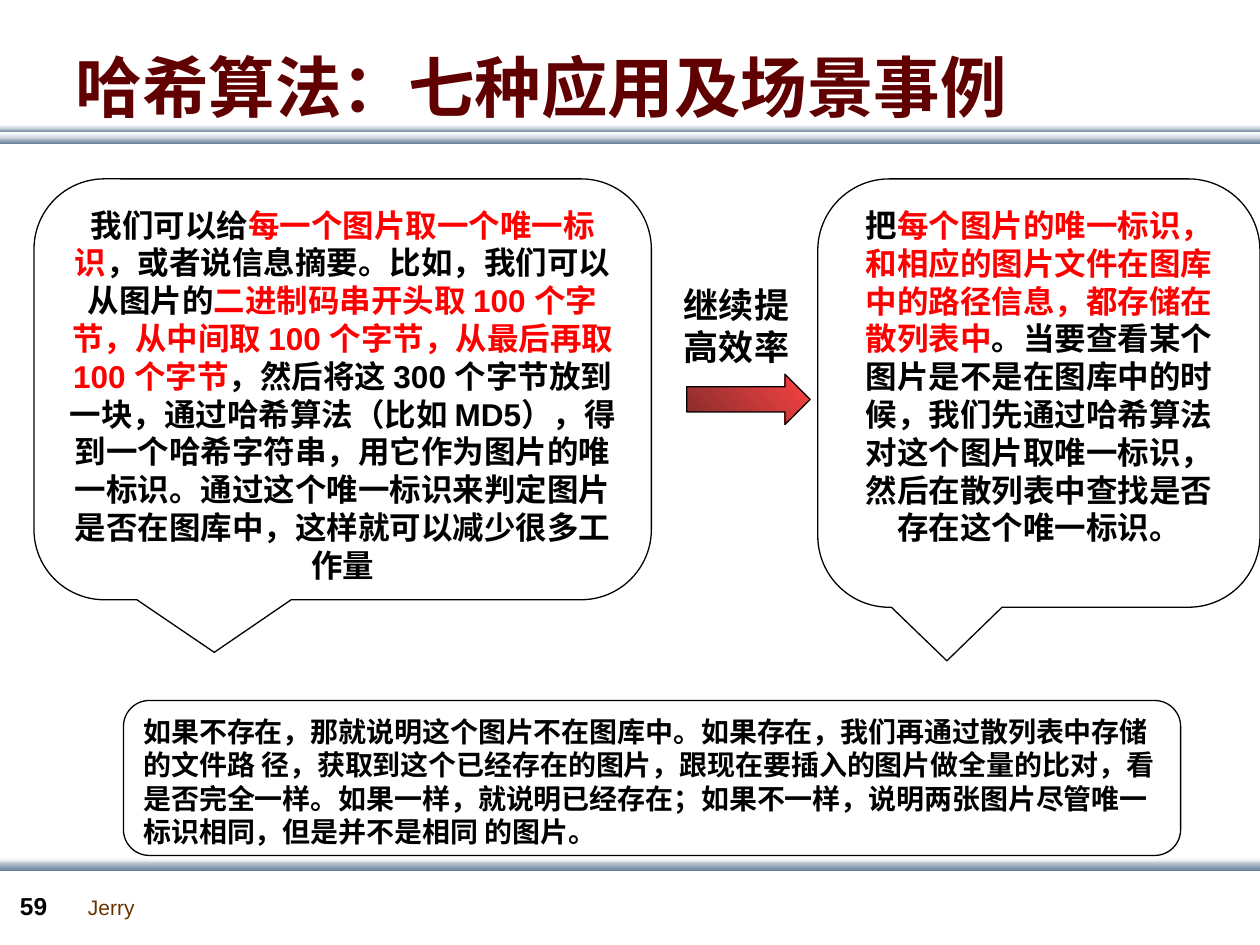
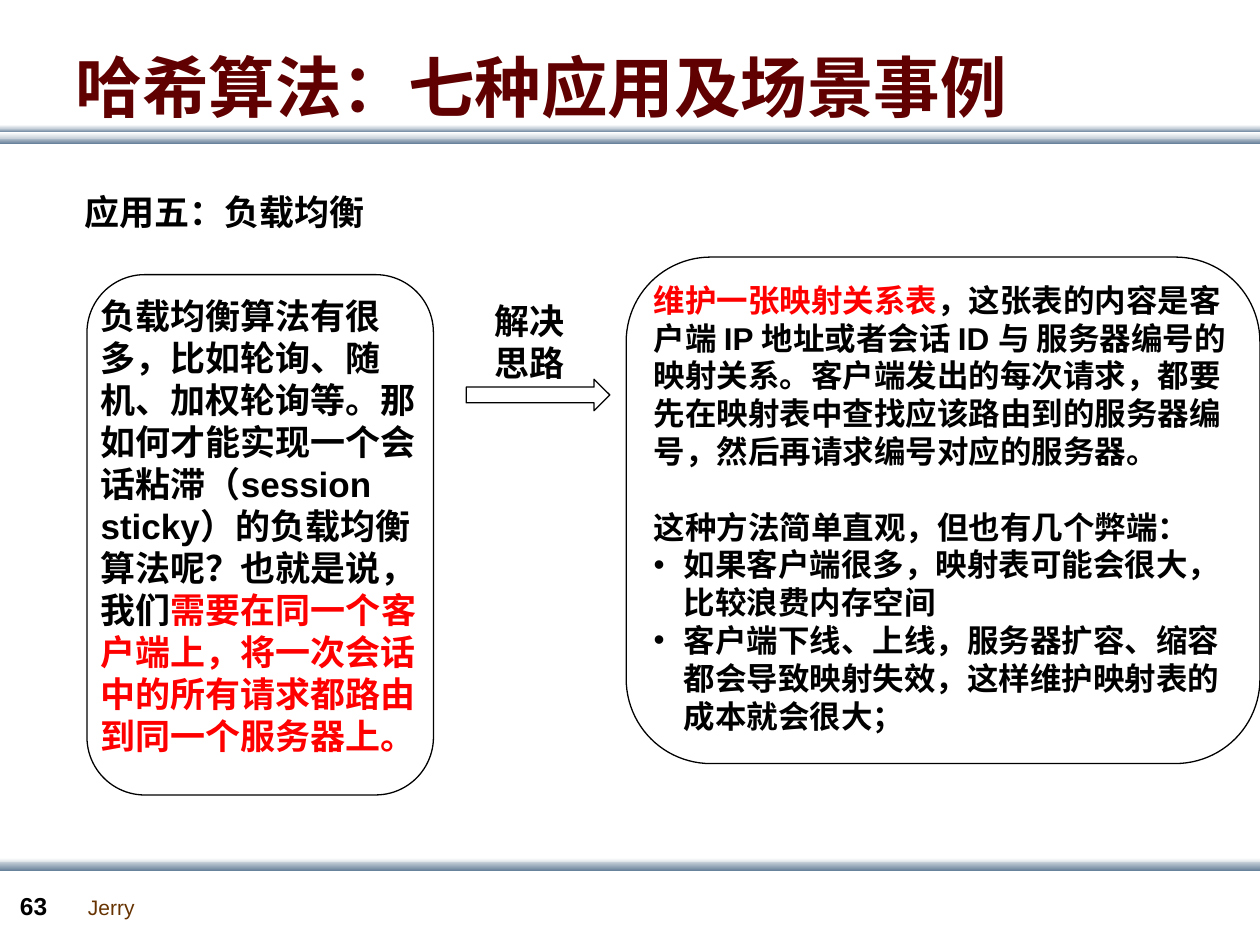
from lxml import etree
from pptx import Presentation
from pptx.dml.color import RGBColor
from pptx.enum.shapes import MSO_SHAPE as Preset
from pptx.enum.text import MSO_ANCHOR as Anchor, MSO_AUTO_SIZE as AutoSize, PP_ALIGN as Align
from pptx.oxml.ns import qn
from pptx.util import Inches, Pt

BLACK = RGBColor(0x00, 0x00, 0x00)
WHITE = RGBColor(0xFF, 0xFF, 0xFF)
RED = RGBColor(0xFF, 0x00, 0x00)
MAROON = RGBColor(0x60, 0x00, 0x00)
BROWN = RGBColor(0x66, 0x33, 0x00)
PALE = RGBColor(0xC8, 0xD1, 0xDA)
STEEL = RGBColor(0x6A, 0x83, 0x9C)
ARROW_LIGHT = RGBColor(0xFE, 0x44, 0x44)
ARROW_DARK = RGBColor(0x83, 0x2B, 0x2B)

LATIN_FONT = "Arial"
CHINESE_FONT = "Noto Sans CJK SC"
LINE_HEIGHT = 1.2
CORNER = 0.167
CALLOUT = (-0.208, 0.625, CORNER)

TITLE = "哈希算法：七种应用及场景事例"
AUTHOR = "Jerry"
BANDS = [
    (1.09, 0.05, PALE, STEEL),
    (1.02, 0.03, PALE, STEEL),
    (1.05, 0.05, WHITE, PALE),
    (0.99, 0.03, WHITE, PALE),
    (6.81, 0.05, WHITE, PALE),
    (6.84, 0.07, PALE, STEEL),
]

FINGERPRINT = [[
    ("我们可以给", BLACK),
    ("每一个图片取一个唯一标识", RED),
    ("，或者说信息摘要。比如，我们可以从图片的", BLACK),
    ("二进制码串开头取 100 个字节，从中间取 100 个字节，从最后再取 100 个字节", RED),
    ("，然后将这 300 个字节放到一块，通过哈希算法（比如 MD5），得到一个哈希字符串，"
     "用它作为图片的唯 一标识。通过这个唯一标识来判定图片是否在图库中，"
     "这样就可以减少很多工作量", BLACK),
]]
LOOKUP = [[
    ("把", BLACK),
    ("每个图片的唯一标识，和相应的图片文件在图库中的路径信息，都存储在散列表中", RED),
    ("。当要查看某个图片是不是在图库中的时候，我们先通过哈希算法对这个图片取唯一标识，"
     "然后在散列表中查找是否存在这个唯一标识。", BLACK),
]]
COMPARISON = [[
    ("如果不存在，那就说明这个图片不在图库中。如果存在，我们再通过散列表中存储的文件路 径，"
     "获取到这个已经存在的图片，跟现在要插入的图片做全量的比对，看是否完全一样。"
     "如果一样，就说明已经存在；如果不一样，说明两张图片尽管唯一标识相同，"
     "但是并不是相同 的图片。", BLACK),
]]
QUESTION = [[
    ("负载均衡算法有很多，比如轮询、随机、加权轮询等。那如何才能实现一个会话粘滞"
     "（session sticky）的负载均衡算法呢？也就是说，我们", BLACK),
    ("需要在同一个客户端上，将一次会话中的所有请求都路由到同一个服务器上。", RED),
]]
MAPPING = [
    [("维护一张映射关系表", RED),
     ("，这张表的内容是客户端 IP 地址或者会话 ID 与 服务器编号的映射关系。"
      "客户端发出的每次请求，都要先在映射表中查找应该路由到的服务器编号，"
      "然后再请求编号对应的服务器。", BLACK)],
    [("这种方法简单直观，但也有几个弊端：", BLACK)],
    [("如果客户端很多，映射表可能会很大，比较浪费内存空间", BLACK)],
    [("客户端下线、上线，服务器扩容、缩容都会导致映射失效，"
      "这样维护映射表的成本就会很大；", BLACK)],
]

SLIDES = [
    ("59", [
        {"preset": Preset.ROUNDED_RECTANGULAR_CALLOUT, "at": (0.27, 1.42, 4.9, 3.34),
         "adjust": CALLOUT, "fill": WHITE, "text": FINGERPRINT, "size": 18,
         "align": Align.CENTER},
        {"preset": Preset.RIGHT_ARROW, "at": (5.45, 2.97, 0.98, 0.4), "adjust": (0.5, 0.5),
         "gradient": (ARROW_LIGHT, ARROW_DARK, 225)},
        {"at": (5.33, 2.2, 1.23, 0.77), "text": [[("继续提高效率", BLACK)]], "size": 20},
        {"preset": Preset.ROUNDED_RECTANGULAR_CALLOUT, "at": (6.49, 1.42, 3.51, 3.4),
         "adjust": CALLOUT, "text": LOOKUP, "size": 18, "align": Align.CENTER},
        {"preset": Preset.ROUNDED_RECTANGLE, "at": (0.98, 5.56, 8.39, 1.23),
         "adjust": (CORNER,), "fill": WHITE, "text": COMPARISON, "size": 16},
    ]),
    ("63", [
        {"at": (0.57, 1.46, 2.61, 0.44), "text": [[("应用五：负载均衡", BLACK)]], "size": 20},
        {"preset": Preset.RIGHT_ARROW, "at": (3.7, 3.01, 1.14, 0.25), "adjust": (0.5, 0.5)},
        {"at": (5.09, 2.18, 4.83, 3.7), "text": MAPPING, "size": 18,
         "gap_before": (1,), "bullets": (2, 3)},
        {"at": (3.83, 2.33, 0.94, 0.77), "text": [[("解决思路", BLACK)]], "size": 20},
        {"preset": Preset.ROUNDED_RECTANGLE, "at": (4.97, 2.04, 5.03, 4.02),
         "adjust": (CORNER,)},
        {"at": (0.7, 2.29, 2.74, 4.1), "text": QUESTION, "size": 20},
        {"preset": Preset.ROUNDED_RECTANGLE, "at": (0.69, 2.18, 2.75, 4.13),
         "adjust": (CORNER,)},
    ]),
]


def apply(target, values):
    for name, value in values.items():
        setattr(target, name, value)


def add_run(paragraph, text, color, size, bold=True, latin=LATIN_FONT):
    run = paragraph.add_run()
    run.text = text
    apply(run.font, {"size": Pt(size), "bold": bold, "name": latin})
    run.font.color.rgb = color
    etree.SubElement(run.font._element, qn("a:ea"), typeface=CHINESE_FONT)


def add_bullet(paragraph):
    properties = paragraph._p.get_or_add_pPr()
    indent = Inches(0.24)
    properties.set("marL", str(indent))
    properties.set("indent", str(-indent))
    etree.SubElement(properties, qn("a:buFont"), typeface=LATIN_FONT)
    etree.SubElement(properties, qn("a:buChar"), char="•")


def set_frame(frame, wrap=True, anchor=Anchor.TOP):
    apply(frame, {"word_wrap": wrap, "auto_size": AutoSize.NONE, "vertical_anchor": anchor,
                  "margin_left": Inches(0.1), "margin_right": Inches(0.1),
                  "margin_top": Inches(0.05), "margin_bottom": Inches(0.05)})


def write_text(frame, item):
    set_frame(frame)
    line = Pt(item["size"] * LINE_HEIGHT)
    for index, runs in enumerate(item["text"]):
        paragraph = frame.paragraphs[0] if index == 0 else frame.add_paragraph()
        apply(paragraph, {"alignment": item.get("align", Align.LEFT), "line_spacing": line})
        paragraph._p.get_or_add_pPr().set("hangingPunct", "0")
        if index in item.get("gap_before", ()):
            paragraph.space_before = line
        if index in item.get("bullets", ()):
            add_bullet(paragraph)
        for text, color in runs:
            add_run(paragraph, text, color, item["size"])


def set_gradient(fill, start, end, angle):
    fill.gradient()
    fill.gradient_angle = angle
    for stop, color, position in zip(fill.gradient_stops, (start, end), (0, 1)):
        stop.color.rgb = color
        stop.position = position


def add_preset(slide, item):
    shape = slide.shapes.add_shape(item["preset"], *map(Inches, item["at"]))
    shape.shadow.inherit = False
    for index, value in enumerate(item.get("adjust", ())):
        shape.adjustments[index] = value
    if "gradient" in item:
        set_gradient(shape.fill, *item["gradient"])
    elif "fill" in item:
        shape.fill.solid()
        shape.fill.fore_color.rgb = item["fill"]
    else:
        shape.fill.background()
    if item.get("outline", True):
        shape.line.color.rgb = BLACK
        shape.line.width = Pt(0.75)
    else:
        shape.line.fill.background()
    return shape


def add_label(slide, at, text, color, size, bold, wrap):
    box = slide.shapes.add_textbox(*map(Inches, at))
    set_frame(box.text_frame, wrap=wrap)
    add_run(box.text_frame.paragraphs[0], text, color, size, bold)


def add_frame(slide, number):
    for top, height, start, end in BANDS:
        add_preset(slide, {"preset": Preset.RECTANGLE, "at": (0, top, 10.01, height),
                           "gradient": (start, end, 270), "outline": False})
    add_label(slide, (0.6, 7.05, 0.57, 0.3), AUTHOR, BROWN, 12, False, False)
    add_label(slide, (0.06, 7.02, 0.55, 0.34), number, BLACK, 14, True, True)

    title = slide.shapes.title
    apply(title, {"left": Inches(0.5), "top": Inches(0.3),
                  "width": Inches(9), "height": Inches(0.77)})
    set_frame(title.text_frame, anchor=Anchor.MIDDLE)
    paragraph = title.text_frame.paragraphs[0]
    apply(paragraph, {"alignment": Align.LEFT, "line_spacing": Pt(38 * LINE_HEIGHT)})
    add_run(paragraph, TITLE, MAROON, 38, latin=CHINESE_FONT)


def main():
    presentation = Presentation()
    apply(presentation, {"slide_width": Inches(10), "slide_height": Inches(7.5)})
    for number, items in SLIDES:
        slide = presentation.slides.add_slide(presentation.slide_layouts[5])
        add_frame(slide, number)
        for item in items:
            if "preset" in item:
                shape = add_preset(slide, item)
            else:
                shape = slide.shapes.add_textbox(*map(Inches, item["at"]))
            if "text" in item:
                write_text(shape.text_frame, item)
    presentation.save("out.pptx")


if __name__ == "__main__":
    main()
